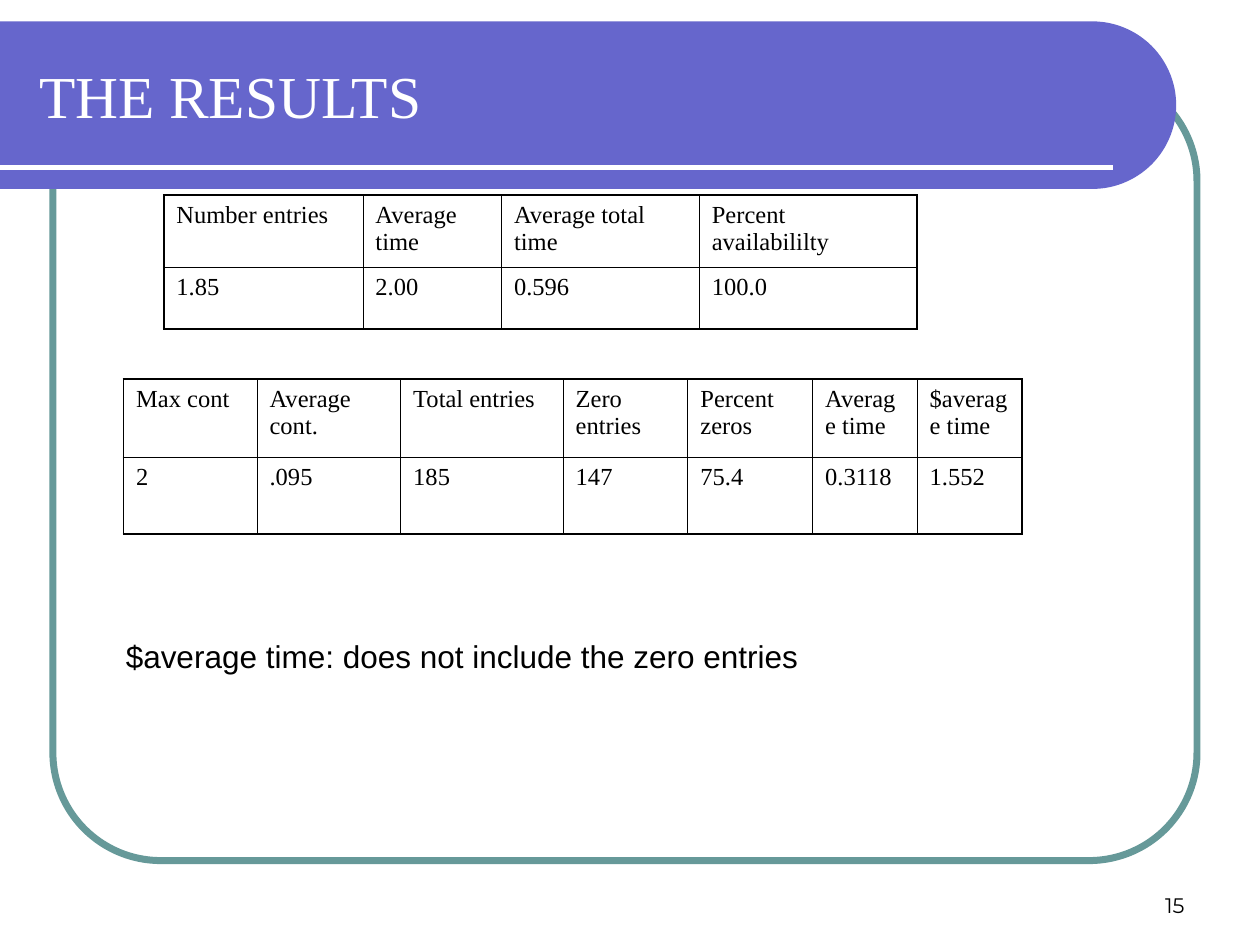
from math import cos, pi, sin
from lxml import etree
from pptx import Presentation
from pptx.dml.color import RGBColor
from pptx.enum import shapes as kinds, text as txt
from pptx.oxml import ns
from pptx.util import Inches, Pt


def paint(fmt, color):
    """Give a fill or a line one solid colour."""
    fill = getattr(fmt, "fill", fmt)
    fill.solid()
    fill.fore_color.rgb = RGBColor.from_string(color)


def style(frame, name, size, color="000000"):
    """Format every run of a text frame."""
    frame.word_wrap = True
    for para in frame.paragraphs:
        for run in para.runs:
            run.font.name, run.font.size = name, Pt(size)
            run.font.color.rgb = RGBColor.from_string(color)


prs = Presentation()
prs.slide_width, prs.slide_height = Inches(10), Inches(7.5)
slide = prs.slides.add_slide(prs.slide_layouts[5])
items = slide.shapes

# Rounded frame, with the title band and its rule across the top
frame = items.add_shape(kinds.MSO_SHAPE.ROUNDED_RECTANGLE,
                        Inches(0.42), Inches(0.58), Inches(9.08), Inches(6.25))
frame.adjustments[0] = 0.137
frame.shadow.inherit = False
frame.fill.background()
paint(frame.line, "669999")
frame.line.width = Pt(4)

top, end, rad, steps = 0.17, 8.67, 0.665, 60
arc = [(Inches(end + rad * sin(pi * i / steps)),
        Inches(top + rad - rad * cos(pi * i / steps))) for i in range(steps + 1)]
pen = items.build_freeform(0, Inches(top))
pen.add_line_segments(arc + [(0, Inches(top + 2 * rad))], close=True)
band = pen.convert_to_shape()
band.shadow.inherit = False
paint(band.fill, "6666CC")
band.line.fill.background()

rule = items.add_connector(kinds.MSO_CONNECTOR.STRAIGHT,
                           0, Inches(1.33), Inches(8.83), Inches(1.33))
paint(rule.line, "FFFFFF")
rule.line.width = Pt(3)
etree.SubElement(rule._element.spPr, ns.qn("a:effectLst"))

# The title goes in front of the band
title = items.title
title.left, title.top = Inches(0.21), Inches(0.25)
title.width, title.height = Inches(8.77), Inches(1)
title.text_frame.text = "THE RESULTS"
title.text_frame.auto_size = txt.MSO_AUTO_SIZE.NONE
title.text_frame.vertical_anchor = txt.MSO_ANCHOR.MIDDLE
title.text_frame.paragraphs[0].alignment = txt.PP_ALIGN.LEFT
style(title.text_frame, "Times New Roman", 34, "FFFFFF")
items._spTree.append(title._element)

# Tables: left, top, column widths, row heights, rows
tables = [
    (1.3, 1.55, [1.58, 1.1, 1.57, 1.73], [0.57, 0.49],
     [["Number entries", "Average time", "Average total time", "Percent availabililty"],
      ["1.85", "2.00", "0.596", "100.0"]]),
    (0.98, 3.01, [1.06, 1.14, 1.29, 0.99, 0.99, 0.83, 0.83], [0.62, 0.61],
     [["Max cont", "Average cont.", "Total entries", "Zero entries",
       "Percent zeros", "Average time", "$average time"],
      ["2", ".095", "185", "147", "75.4", "0.3118", "1.552"]]),
]
for left, top, widths, heights, rows in tables:
    grid = items.add_table(len(rows), len(widths), Inches(left), Inches(top),
                           Inches(sum(widths)), Inches(sum(heights))).table
    grid.first_row = grid.horz_banding = False
    for col, width in zip(grid.columns, widths):
        col.width = Inches(width)
    for r, (row, height) in enumerate(zip(rows, heights)):
        grid.rows[r].height = Inches(height)
        for c, value in enumerate(row):
            cell = grid.cell(r, c)
            cell.text_frame.text = value
            style(cell.text_frame, "Times New Roman", 14)
            # Outer edges are heavier than inner ones
            outer = {"L": c == 0, "R": c == len(row) - 1,
                     "T": r == 0, "B": r == len(rows) - 1}
            props = cell._tc.get_or_add_tcPr()
            for side, heavy in outer.items():
                edge = etree.SubElement(props, ns.qn("a:ln" + side),
                                        w=str(Pt(1.08 if heavy else 0.45)))
                solid = etree.SubElement(edge, ns.qn("a:solidFill"))
                etree.SubElement(solid, ns.qn("a:srgbClr"), val="000000")
            cell.fill.background()

# Note and slide number
notes = [
    (0.9, 5.01, 8.27, 0.4, "$average time: does not include the zero entries",
     "Arial", 18, txt.PP_ALIGN.LEFT, txt.MSO_ANCHOR.TOP),
    (7.17, 6.83, 2.33, 0.5, "15",
     "Montserrat", 12, txt.PP_ALIGN.RIGHT, txt.MSO_ANCHOR.BOTTOM),
]
for left, top, width, height, words, font, size, align, anchor in notes:
    box = items.add_textbox(Inches(left), Inches(top), Inches(width), Inches(height))
    box.text_frame.text = words
    box.text_frame.vertical_anchor = anchor
    box.text_frame.paragraphs[0].alignment = align
    style(box.text_frame, font, size)

prs.save("out.pptx")
